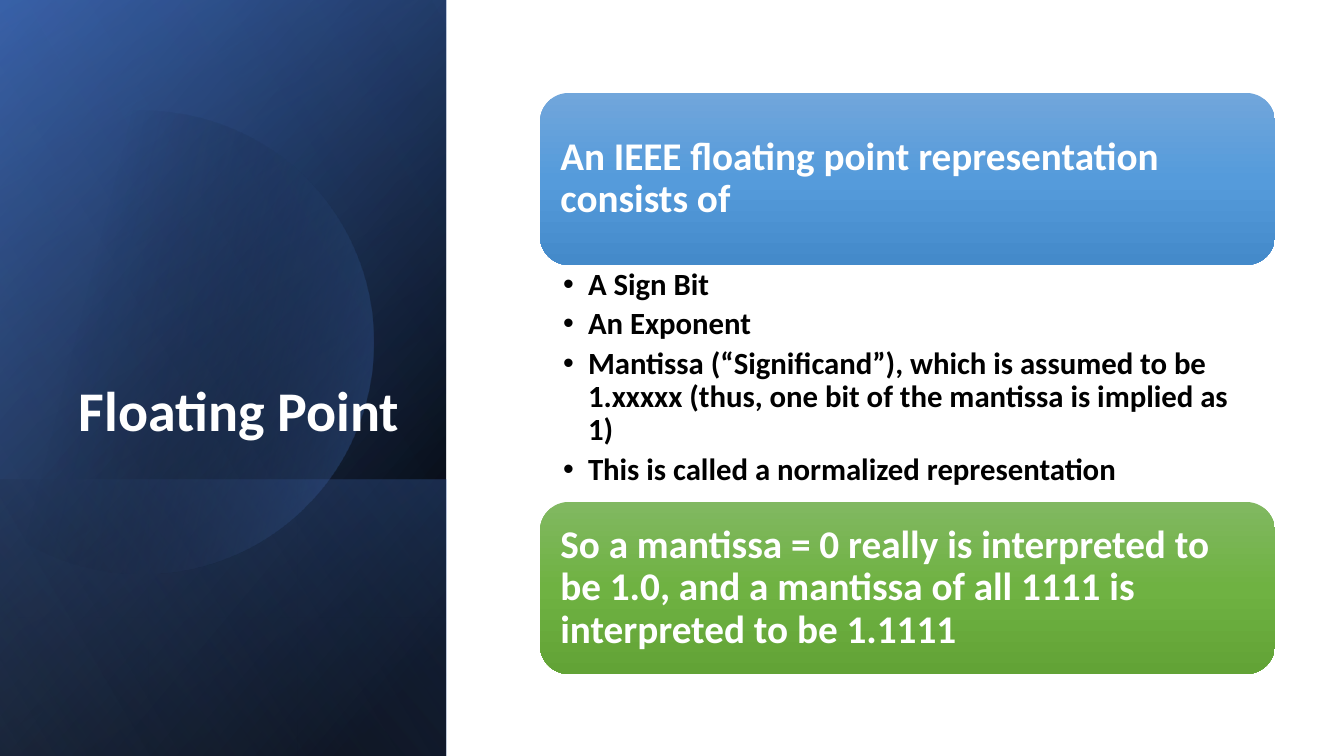
import math

import pptx
import pptx.dml.color
import pptx.enum.shapes
import pptx.enum.text
import pptx.util
from lxml import etree
from pptx.oxml.ns import qn

PX = 914400 / 100.8
FONT = "Calibri"
COLORS = {
    "black": "000000", "white": "FFFFFF", "blue": "4472C4", "navy": "2F5597", "pale": "8FAADC",
    "sky_top": "71A6DB", "sky": "559BDB", "sky_low": "448ACA",
    "green_top": "81B861", "green": "6FB242", "green_low": "62A336",
}
SHAPE = pptx.enum.shapes.MSO_SHAPE
ANCHOR = pptx.enum.text.MSO_ANCHOR
ALIGN = pptx.enum.text.PP_ALIGN


def px(n):
    """Turn pixels into EMU."""
    return pptx.util.Emu(round(n * PX))


def set_gradient(sp, stops, angle):
    """Fill a shape with (position, color, opacity) stops and drop its line and shadow."""
    sp.shadow.inherit = False
    sp.line.fill.background()
    sp.fill.gradient()
    grad = sp._element.spPr.find(qn("a:gradFill"))
    grad.find(qn("a:lin")).set("ang", str(angle * 60000))
    gs_lst = grad.find(qn("a:gsLst"))
    for gs in list(gs_lst):
        gs_lst.remove(gs)
    for pos, color, opacity in stops:
        gs = etree.SubElement(gs_lst, qn("a:gs"), pos=str(pos * 1000))
        clr = etree.SubElement(gs, qn("a:srgbClr"), val=COLORS[color])
        if opacity < 100:
            etree.SubElement(clr, qn("a:alpha"), val=str(opacity * 1000))


def write_text(sp, lines, size, color, frame, para):
    """Write bold paragraphs with the given frame and paragraph formats."""
    tf = sp.text_frame
    for name, value in {"word_wrap": True, **frame}.items():
        setattr(tf, name, value)
    for i, line in enumerate(lines):
        p = tf.paragraphs[0] if i == 0 else tf.add_paragraph()
        for name, value in {"line_spacing": 0.9, **para}.items():
            setattr(p, name, value)
        r = p.add_run()
        r.text = line
        for name, value in {"name": FONT, "size": pptx.util.Pt(size), "bold": True}.items():
            setattr(r.font, name, value)
        r.font.color.rgb = pptx.dml.color.RGBColor.from_string(COLORS[color])


def add_turned_panel(slide, x, y, w, h, stops, angle):
    """Add a mirrored rectangle turned a quarter so that it covers the box."""
    sp = slide.shapes.add_shape(SHAPE.RECTANGLE, px(x + (w - h) / 2), px(y + (h - w) / 2), px(h), px(w))
    sp.rotation = 90
    sp._element.spPr.find(qn("a:xfrm")).set("flipH", "1")
    set_gradient(sp, stops, angle)


def add_disc(slide, cx, cy, radius, left):
    """Add a translucent disc cut straight at its left side."""
    limit = math.acos((left - cx) / radius)
    steps = 120
    angles = [limit * (2 * i / steps - 1) for i in range(steps + 1)]
    points = [(px(cx + radius * math.cos(a)), px(cy + radius * math.sin(a))) for a in angles]
    builder = slide.shapes.build_freeform(*points[0])
    builder.add_line_segments(points[1:], close=True)
    set_gradient(builder.convert_to_shape(), [(29, "black", 0), (100, "blue", 43)], 14)


def add_title_panel(slide, x, y, w, h):
    """Draw the layered dark panel with the slide title."""
    foot = 276
    add_turned_panel(slide, x, y, w, h, [(8, "black", 100), (100, "navy", 100)], 50)
    add_turned_panel(slide, x, y, w, h, [(0, "black", 0), (99, "blue", 46)], 30)
    add_turned_panel(slide, x, y + h - foot, w, foot, [(2, "blue", 29), (100, "black", 30)], 130)
    add_disc(slide, x + 142, y + 342, 231, x - 15)
    add_turned_panel(slide, x, y, w, h, [(0, "black", 0), (99, "pale", 11)], 120)
    title = slide.shapes.add_textbox(px(x + 65), px(y + 185), px(344), px(264))
    write_text(title, ["Floating Point"], 40, "white", {"vertical_anchor": ANCHOR.BOTTOM},
               {"alignment": ALIGN.RIGHT, "space_after": pptx.util.Pt(6)})


def add_card(slide, x, y, w, h, text, hue):
    """Draw a rounded statement card."""
    sp = slide.shapes.add_shape(SHAPE.ROUNDED_RECTANGLE, px(x), px(y), px(w), px(h))
    set_gradient(sp, [(0, hue + "_top", 100), (50, hue, 100), (100, hue + "_low", 100)], 90)
    margins = {"margin_" + side: px(12) for side in ("left", "top", "right", "bottom")}
    write_text(sp, [text], 28, "white", {"vertical_anchor": ANCHOR.MIDDLE, **margins},
               {"alignment": ALIGN.LEFT})


def add_bullets(slide, x, y, w, h, lines):
    """Write the bulleted list."""
    sp = slide.shapes.add_textbox(px(x), px(y), px(w), px(h))
    write_text(sp, lines, 22, "black",
               {"margin_left": px(23), "margin_right": px(22), "margin_top": px(4), "margin_bottom": px(4)},
               {"space_after": pptx.util.Pt(4.4)})
    for p in sp.text_frame.paragraphs:
        p_pr = p._p.get_or_add_pPr()
        p_pr.set("marL", str(px(25)))
        p_pr.set("indent", str(-px(25)))
        etree.SubElement(p_pr, qn("a:buFont"), typeface="Arial")
        etree.SubElement(p_pr, qn("a:buChar"), char="•")


def add_content(slide, x, y, w, h):
    """Stack a card, the list and a closing card in the box."""
    card = 172
    add_card(slide, x, y, w, card, "An IEEE floating point representation consists of", "sky")
    add_bullets(slide, x, y + card, w, h - 2 * card, [
        "A Sign Bit",
        "An Exponent",
        "Mantissa (“Significand”), which is assumed to be 1.xxxxx "
        "(thus, one bit of the mantissa is implied as 1)",
        "This is called a normalized representation",
    ])
    add_card(slide, x, y + h - card, w, card,
             "So a mantissa = 0 really is interpreted to be 1.0, "
             "and a mantissa of all 1111 is interpreted to be 1.1111", "green")


def main():
    """Build and save the slide."""
    prs = pptx.Presentation()
    prs.slide_width, prs.slide_height = px(1344), px(756)
    slide = prs.slides.add_slide(prs.slide_layouts[6])
    add_title_panel(slide, 0, 0, 446, 756)
    add_content(slide, 540, 93, 735, 581)
    prs.save("out.pptx")


if __name__ == "__main__":
    main()
